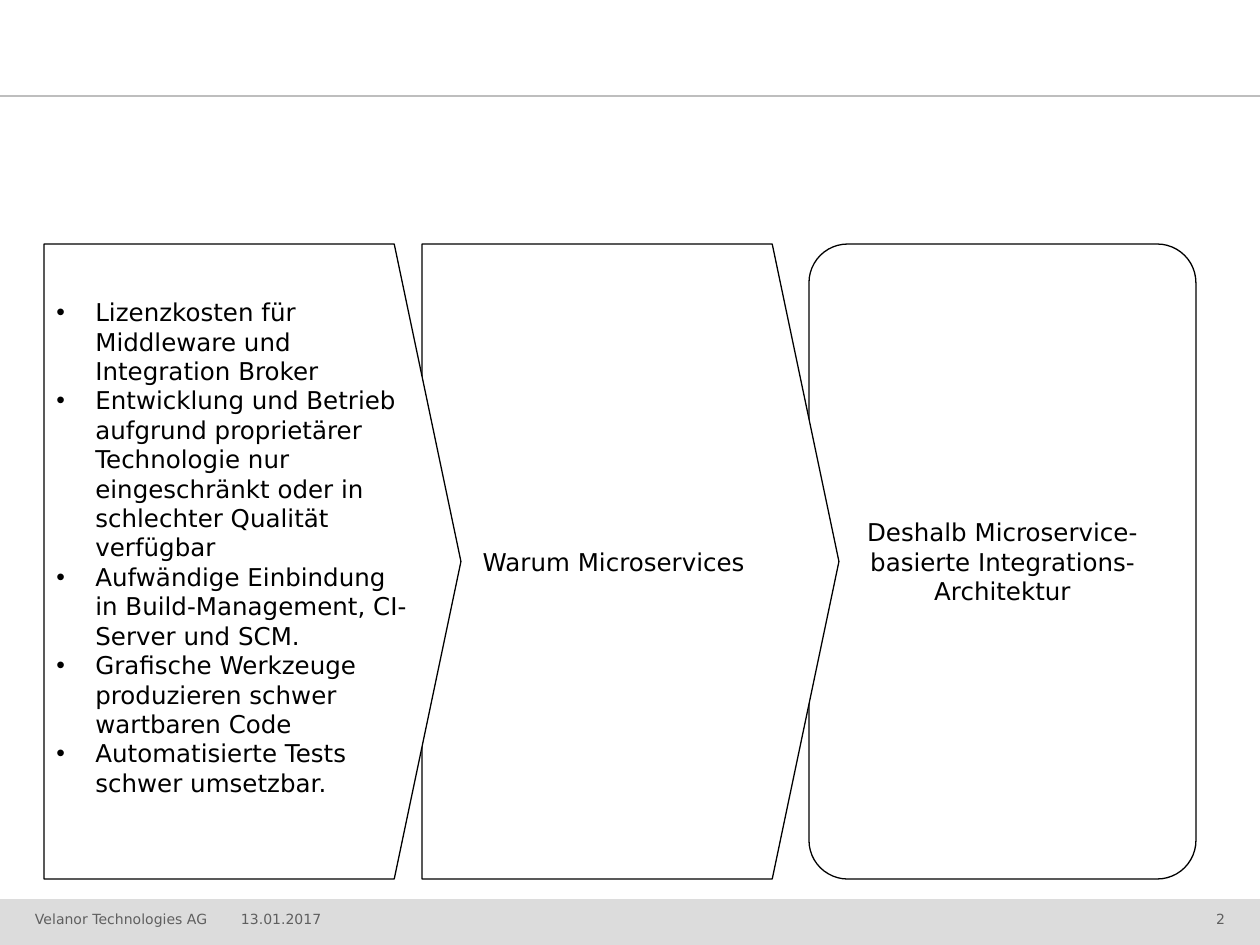
from dataclasses import dataclass

from lxml import etree
from pptx import Presentation
from pptx.dml.color import RGBColor
from pptx.enum.shapes import MSO_CONNECTOR, MSO_SHAPE
from pptx.enum.text import MSO_ANCHOR, PP_ALIGN
from pptx.oxml.ns import qn
from pptx.util import Pt

LINE = MSO_CONNECTOR.STRAIGHT
RECTANGLE = MSO_SHAPE.RECTANGLE
PENTAGON = MSO_SHAPE.PENTAGON
ROUNDED = MSO_SHAPE.ROUNDED_RECTANGLE
MIDDLE, BOTTOM = MSO_ANCHOR.MIDDLE, MSO_ANCHOR.BOTTOM
LEFT, CENTER, RIGHT = PP_ALIGN.LEFT, PP_ALIGN.CENTER, PP_ALIGN.RIGHT

PAGE_WIDTH, PAGE_HEIGHT = 1260, 945
EMU_PER_PIXEL = 914400 / 126


@dataclass(frozen=True)
class Theme:
    font: str = "DejaVu Sans"
    body_size: int = 14
    footer_size: int = 8
    line_width: float = 0.75
    ink: str = "000000"
    paper: str = "FFFFFF"
    band: str = "DCDCDC"
    rule: str = "BEBEBE"
    footer_ink: str = "5F5F5F"


THEME = Theme()

PROBLEMS = [
    "Lizenzkosten für Middleware und Integration Broker",
    "Entwicklung und Betrieb aufgrund proprietärer Technologie nur "
    "eingeschränkt oder in schlechter Qualität verfügbar",
    "Aufwändige Einbindung in Build-Management, CI-Server und SCM.",
    "Grafische Werkzeuge produzieren schwer wartbaren Code",
    "Automatisierte Tests schwer umsetzbar.",
]


def px(length):
    return round(length * EMU_PER_PIXEL)


def color(value):
    return RGBColor.from_string(value)


def apply(target, formats):
    for name, value in formats.items():
        setattr(target, name, value)


def add_bullet(para):
    properties = para._p.get_or_add_pPr()
    properties.set("marL", str(px(39)))
    properties.set("indent", str(px(-39)))
    etree.SubElement(properties, qn("a:buFont")).set("typeface", "Arial")
    etree.SubElement(properties, qn("a:buChar")).set("char", "•")


def write(frame, texts, size, ink, align, bullets=False):
    for index, text in enumerate(texts):
        para = frame.paragraphs[0] if index == 0 else frame.add_paragraph()
        para.alignment = align
        if bullets:
            add_bullet(para)
        span = para.add_run()
        span.text = text
        apply(span.font, {"name": THEME.font, "size": Pt(size)})
        span.font.color.rgb = color(ink)


def add_panel(page, kind, box, adjustment, texts, bullets=False):
    panel = page.shapes.add_shape(kind, *map(px, box))
    panel.shadow.inherit = False
    panel.adjustments[0] = adjustment
    panel.fill.solid()
    panel.fill.fore_color.rgb = color(THEME.paper)
    panel.line.color.rgb = color(THEME.ink)
    panel.line.width = Pt(THEME.line_width)
    formats = {"word_wrap": True, "vertical_anchor": MIDDLE}
    if bullets:
        formats["margin_bottom"] = px(35)
    apply(panel.text_frame, formats)
    align = LEFT if bullets else CENTER
    write(panel.text_frame, texts, THEME.body_size, THEME.ink, align, bullets)


def add_header_rule(page, box):
    left, top, width, height = box
    y = px(top + height)
    rule = page.shapes.add_connector(LINE, px(left), y, px(left + width), y)
    rule.line.color.rgb = color(THEME.rule)
    rule.line.width = Pt(THEME.line_width)
    etree.SubElement(rule._element.spPr, qn("a:effectLst"))


def add_footer(page, box):
    left, top, width, height = box
    band = page.shapes.add_shape(RECTANGLE, *map(px, box))
    band.shadow.inherit = False
    band.fill.solid()
    band.fill.fore_color.rgb = color(THEME.band)
    band.line.fill.background()
    entries = [
        (35, 189, "Velanor Technologies AG", LEFT),
        (241, 101, "13.01.2017", LEFT),
        (width - 124, 89, "2", RIGHT),
    ]
    for offset, entry_width, text, align in entries:
        entry_box = (left + offset, top, entry_width, height)
        frame = page.shapes.add_textbox(*map(px, entry_box)).text_frame
        apply(frame, {
            "word_wrap": True, "vertical_anchor": BOTTOM, "margin_left": 0,
            "margin_right": 0, "margin_top": 0, "margin_bottom": px(18),
        })
        write(frame, [text], THEME.footer_size, THEME.footer_ink, align)


def add_process(page, box):
    left, top, width, height = box
    arrow_width, result_width, step = 417, 387, 378
    result_box = (left + width - result_width, top, result_width, height)
    add_panel(page, ROUNDED, result_box, 0.1,
              ["Deshalb Microservice-basierte Integrations-Architektur"])
    arrows = [(1, ["Warum Microservices"], False), (0, PROBLEMS, True)]
    for column, texts, bullets in arrows:
        arrow_box = (left + column * step, top, arrow_width, height)
        add_panel(page, PENTAGON, arrow_box, 0.16, texts, bullets)


def build():
    deck = Presentation()
    deck.slide_width, deck.slide_height = px(PAGE_WIDTH), px(PAGE_HEIGHT)
    page = deck.slides.add_slide(deck.slide_layouts[6])
    add_footer(page, (0, 899, PAGE_WIDTH, 46))
    add_header_rule(page, (0, 0, PAGE_WIDTH, 96))
    add_process(page, (44, 244, 1152, 635))
    deck.save("out.pptx")


build()
